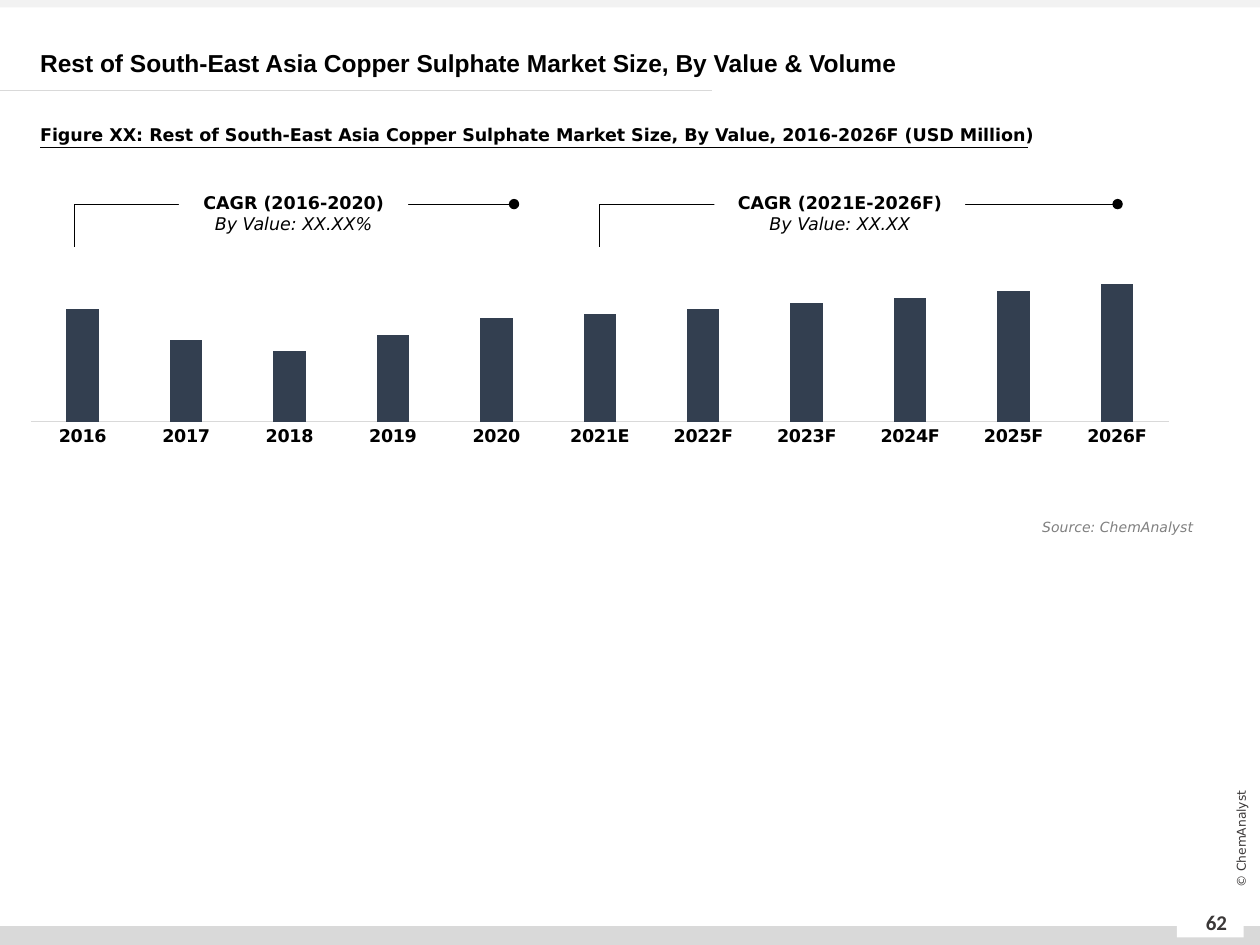
import dataclasses
import typing

import lxml.etree
import pptx
import pptx.chart.data
import pptx.dml.color
import pptx.enum.chart
import pptx.enum.shapes
import pptx.enum.text
import pptx.oxml
import pptx.oxml.ns
import pptx.util

Pt = pptx.util.Pt
Align = pptx.enum.text.PP_ALIGN
Anchor = pptx.enum.text.MSO_ANCHOR
qn = pptx.oxml.ns.qn
COLORS = {
    "black": "000000", "white": "FFFFFF", "band": "D9D9D9", "top": "F2F2F2",
    "footer": "3B3838", "source": "808080", "bar": "333F50",
}
BODY_FONT = "DejaVu Sans"
MARKET_SIZE = {
    "2016": 82, "2017": 59, "2018": 51, "2019": 63, "2020": 75, "2021E": 78,
    "2022F": 82, "2023F": 86, "2024F": 90, "2025F": 95, "2026F": 100,
}
Box = tuple[float, float, float, float]


@dataclasses.dataclass(frozen=True)
class Line:
    text: str
    size: float
    color: str = "black"
    font: str = BODY_FONT
    bold: bool = False
    italic: bool = False


@dataclasses.dataclass(frozen=True)
class Label:
    box: Box
    line: Line
    align: Align = Align.LEFT
    anchor: Anchor = Anchor.TOP
    spacing: typing.Any = None
    grow: bool = False
    rotation: float = 0


@dataclasses.dataclass(frozen=True)
class Growth:
    left: float
    right: float
    label_left: float
    label_width: float
    period: str
    rate: str


BANDS = [
    ((0, 529.2, 720, 10.8), "band"),
    ((0, 0, 720, 4.3), "top"),
    ((672.5, 519.85, 38.15, 15.85), "white"),
]
RULES = [(0, 406.8, 51.85, "band"), (23, 587.5, 84.25, "black")]
LABELS = [
    Label((677.5, 512.65, 35.3, 28.8), Line("62", 12, "footer", "Calibri", True),
          Align.CENTER, Anchor.MIDDLE),
    Label((666, 473.75, 86.4, 11.5), Line("© ChemAnalyst", 7, "footer"),
          Align.CENTER, Anchor.MIDDLE, rotation=270),
    Label((15.85, 61.2, 635, 23),
          Line("Figure XX: Rest of South-East Asia Copper Sulphate Market Size, "
               "By Value, 2016-2026F (USD Million)", 10, bold=True),
          spacing=1.5, grow=True),
    Label((15.85, 24.5, 702.7, 23),
          Line("Rest of South-East Asia Copper Sulphate Market Size, By Value & Volume",
               14, font="Arial", bold=True),
          anchor=Anchor.MIDDLE, spacing=Pt(17), grow=True),
    Label((515.5, 293, 173.5, 17.3), Line("Source: ChemAnalyst", 8, "source", italic=True),
          Align.RIGHT, grow=True),
]
GROWTHS = [
    Growth(342.7, 638.65, 408.25, 143.3, "CAGR (2021E-2026F)", "By Value: XX.XX"),
    Growth(42.5, 293.75, 102.25, 131, "CAGR (2016-2020)", "By Value: XX.XX%"),
]


def color(name: str) -> pptx.dml.color.RGBColor:
    """Return the named colour."""
    return pptx.dml.color.RGBColor.from_string(COLORS[name])


def style_font(font: typing.Any, line: Line) -> None:
    """Apply the look of a line to a font."""
    font.name, font.size = line.font, Pt(line.size)
    font.bold, font.italic = line.bold, line.italic
    font.color.rgb = color(line.color)


def write_line(paragraph: typing.Any, line: Line, align: Align) -> None:
    """Write one styled run into a paragraph."""
    paragraph.alignment = align
    run = paragraph.add_run()
    run.text = line.text
    style_font(run.font, line)


def draw_box(shapes: typing.Any, box: Box, fill: str) -> typing.Any:
    """Draw a plain filled rectangle."""
    shape = shapes.add_shape(pptx.enum.shapes.MSO_SHAPE.RECTANGLE, *map(Pt, box))
    shape.shadow.inherit = False
    shape.fill.solid()
    shape.fill.fore_color.rgb = color(fill)
    shape.line.fill.background()
    return shape


def draw_connector(shapes: typing.Any, kind: typing.Any, ends: Box, name: str) -> typing.Any:
    """Draw a thin connector without shadow."""
    connector = shapes.add_connector(kind, *map(Pt, ends))
    connector.line.width = Pt(0.5)
    connector.line.color.rgb = color(name)
    lxml.etree.SubElement(connector._element.spPr, qn("a:effectLst"))
    return connector


def draw_label(shapes: typing.Any, label: Label) -> None:
    """Draw a text box with one line."""
    shape = shapes.add_textbox(*map(Pt, label.box))
    shape.rotation = label.rotation
    frame = shape.text_frame
    frame.word_wrap = True
    frame.vertical_anchor = label.anchor
    if label.grow:
        frame.auto_size = pptx.enum.text.MSO_AUTO_SIZE.SHAPE_TO_FIT_TEXT
    if label.spacing is not None:
        frame.paragraphs[0].line_spacing = label.spacing
    write_line(frame.paragraphs[0], label.line, label.align)


def draw_growth(shapes: typing.Any, growth: Growth) -> None:
    """Draw a growth bracket with its label as a group."""
    group = shapes.add_group_shape()
    bracket = draw_connector(group.shapes, pptx.enum.shapes.MSO_CONNECTOR.ELBOW,
                             (growth.left, 141.1, growth.right, 116.65), "black")
    properties = bracket._element.spPr
    guides = properties.find(qn("a:prstGeom")).get_or_add_avLst()
    lxml.etree.SubElement(guides, qn("a:gd"), name="adj1", fmla="val 0")
    lxml.etree.SubElement(properties.find(qn("a:ln")), qn("a:tailEnd"), type="oval")
    box = (growth.label_left, 101.5, growth.label_width, 41)
    frame = draw_box(group.shapes, box, "white").text_frame
    frame.word_wrap = True
    frame.vertical_anchor = Anchor.MIDDLE
    write_line(frame.paragraphs[0], Line(growth.period, 10, bold=True), Align.CENTER)
    write_line(frame.add_paragraph(), Line(growth.rate, 10, italic=True), Align.CENTER)


def place_plot(chart: typing.Any, box: Box) -> None:
    """Fix the inner plot area as fractions of the chart."""
    area = chart._chartSpace.chart.plotArea
    for old in area.findall(qn("c:layout")):
        area.remove(old)
    layout = lxml.etree.Element(qn("c:layout"))
    manual = lxml.etree.SubElement(layout, qn("c:manualLayout"))
    settings = [("layoutTarget", "inner"), ("xMode", "edge"), ("yMode", "edge")]
    for tag, value in settings + list(zip("xywh", box)):
        lxml.etree.SubElement(manual, qn(f"c:{tag}"), val=str(value))
    area.insert(0, layout)


def draw_chart(shapes: typing.Any) -> None:
    """Draw the market size column chart."""
    data = pptx.chart.data.CategoryChartData(number_format="0.00")
    data.categories = list(MARKET_SIZE)
    data.add_series("Series 1", list(MARKET_SIZE.values()))
    chart = shapes.add_chart(pptx.enum.chart.XL_CHART_TYPE.COLUMN_CLUSTERED,
                             *map(Pt, (17.3, 129.6, 650.9, 149.75)), data).chart
    chart.has_legend = chart.has_title = False
    style_font(chart.font, Line("", 10))
    plot = chart.plots[0]
    plot.gap_width, plot.overlap, plot.vary_by_categories = 219, -27, False
    fill = plot.series[0].format.fill
    fill.solid()
    fill.fore_color.rgb = color("bar")
    years = chart.category_axis
    years.major_tick_mark = years.minor_tick_mark = pptx.enum.chart.XL_TICK_MARK.NONE
    years.format.line.width = Pt(0.75)
    years.format.line.color.rgb = color("band")
    style_font(years.tick_labels.font, Line("", 10, bold=True))
    values = chart.value_axis
    values.visible = values.has_major_gridlines = False
    values.minimum_scale, values.maximum_scale = 0, 111
    place_plot(chart, (0, 0.16, 1, 0.584))


def main() -> None:
    """Build and save the market size slide."""
    presentation = pptx.Presentation()
    presentation.slide_width, presentation.slide_height = Pt(720), Pt(540)
    shapes = presentation.slides.add_slide(presentation.slide_layouts[6]).shapes
    for box, fill in BANDS:
        draw_box(shapes, box, fill)
    for left, right, top, name in RULES:
        draw_connector(shapes, pptx.enum.shapes.MSO_CONNECTOR.STRAIGHT,
                       (left, top, right, top), name)
    draw_chart(shapes)
    for label in LABELS:
        draw_label(shapes, label)
    for growth in GROWTHS:
        draw_growth(shapes, growth)
    presentation.save("out.pptx")


if __name__ == "__main__":
    main()
